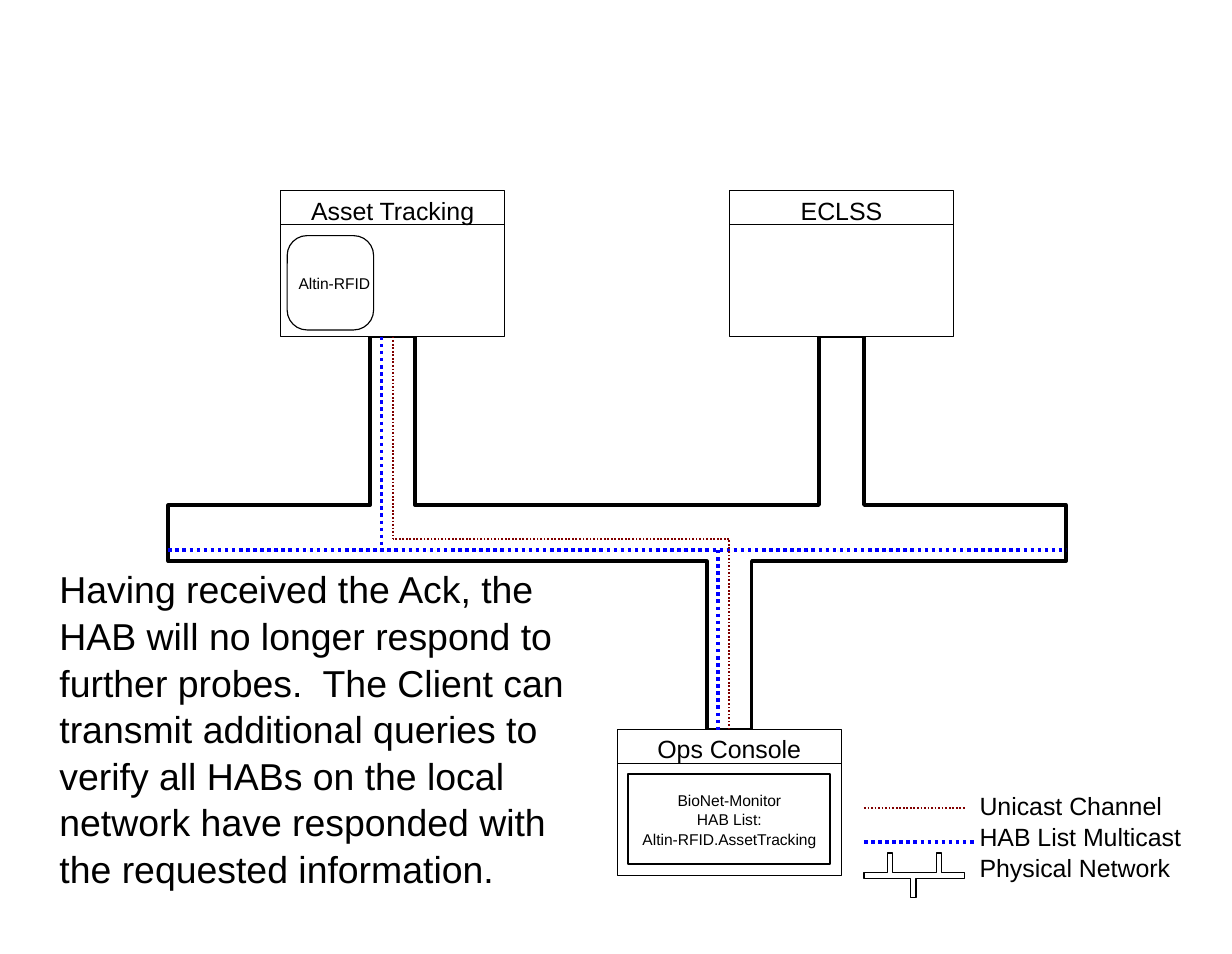
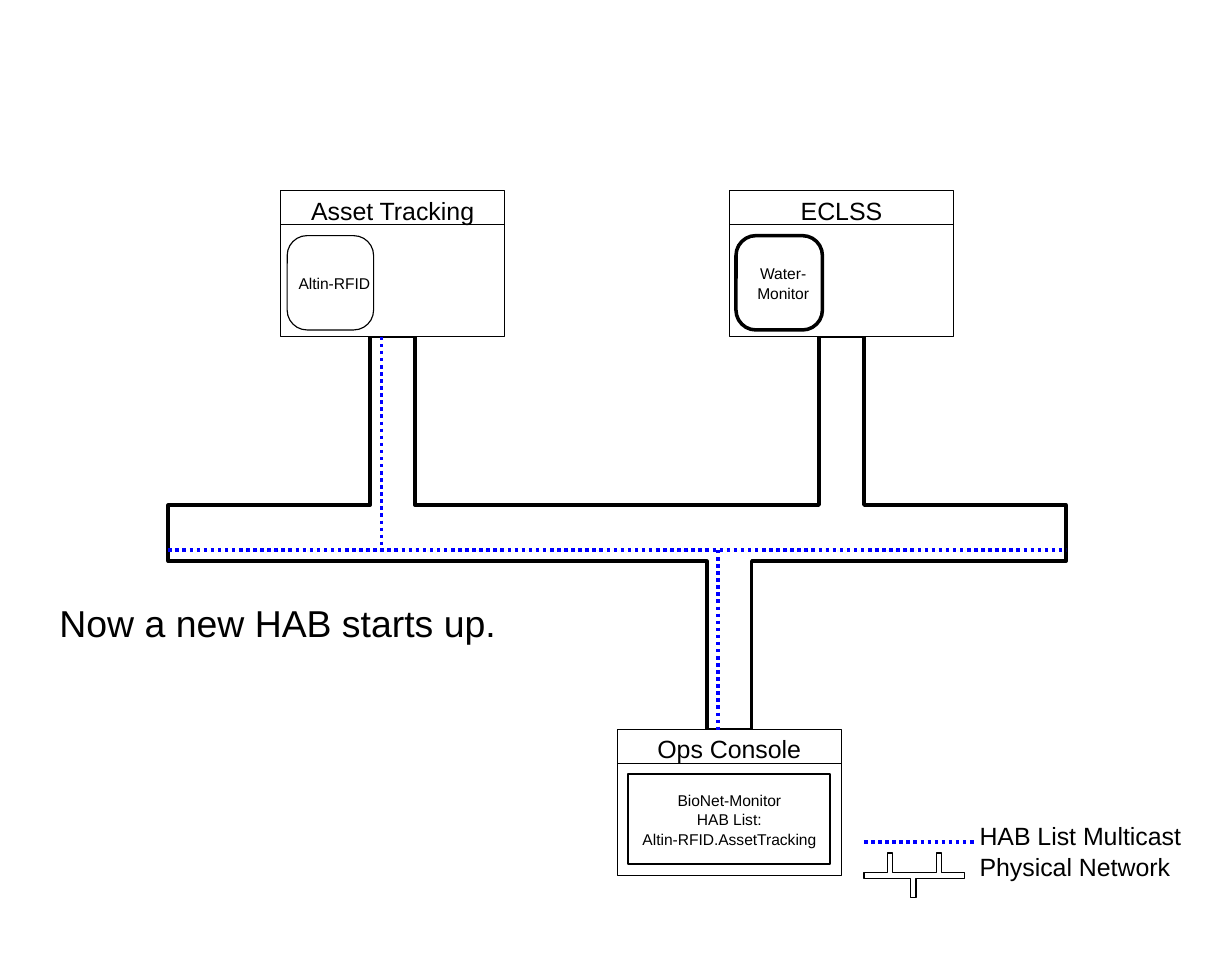
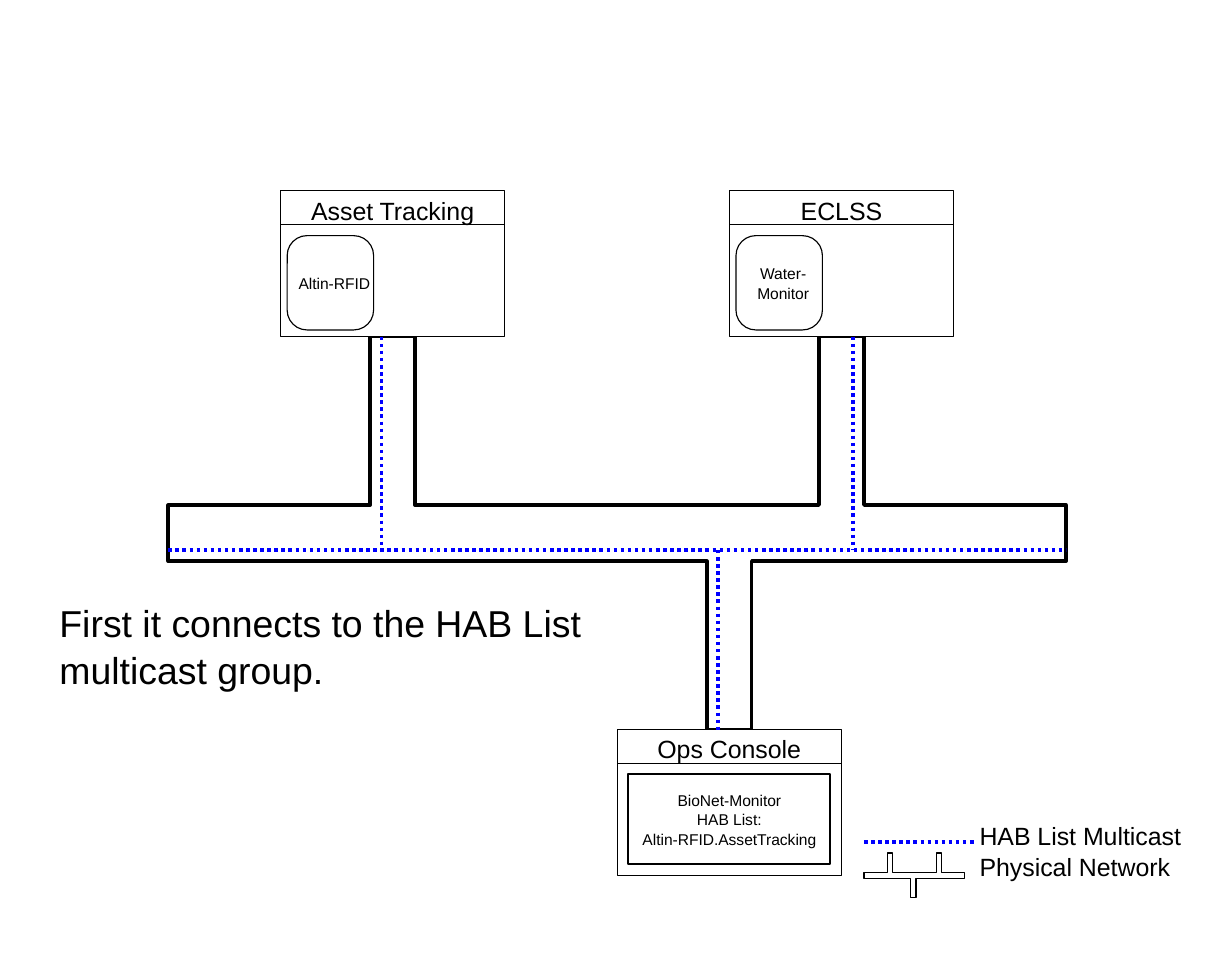
from dataclasses import dataclass
from typing import Optional

from lxml.etree import SubElement
from pptx import Presentation
from pptx.dml.color import RGBColor as RGB
from pptx.enum.dml import MSO_LINE_DASH_STYLE as Dash
from pptx.enum.shapes import MSO_CONNECTOR as Connector, MSO_SHAPE as Shape
from pptx.enum.text import MSO_ANCHOR as Anchor, PP_ALIGN as Align
from pptx.oxml.ns import qn
from pptx.util import Emu, Inches, Pt


@dataclass(frozen=True)
class Theme:
    font: str = "Arial"
    ink: RGB = RGB(0, 0, 0)
    paper: RGB = RGB(255, 255, 255)
    multicast: RGB = RGB(0, 0, 255)
    unicast: RGB = RGB(128, 0, 0)
    caption: int = 24
    label: int = 16
    small: int = 10
    thin: float = 0.75
    medium: float = 1.13
    thick: float = 2.27
    spacing: float = 1.04


@dataclass(frozen=True)
class Box:
    """A place on the grid: left, top, width and height in cells."""
    x: float
    y: float
    w: float
    h: float


@dataclass(frozen=True)
class Pen:
    color: RGB
    width: float
    dotted: bool = False


@dataclass(frozen=True)
class Step:
    caption: str
    caption_row: float
    unicast: bool = False
    water_width: Optional[float] = None
    water_joined: bool = False


T = Theme()
CELL = 0.1  # inches per grid cell
INSET = 0.3
ROW = 2.67  # height of a legend row
THIN, MEDIUM, THICK = (Pen(T.ink, w) for w in (T.thin, T.medium, T.thick))
MULTICAST = Pen(T.multicast, T.thick, True)
UNICAST = Pen(T.unicast, T.medium, True)

NETWORK = Box(15, 30, 80, 35)
ASSET, ECLSS, OPS = Box(25, 17, 20, 13), Box(65, 17, 20, 13), Box(55, 65, 20, 13)
MULTICAST_ROW, UNICAST_ROW = 49, 48
LEGEND_X, LEGEND_TEXT_X, LEGEND_Y = 77, 87, 70
HAB = "Altin-RFID"

STEPS = [
    Step("Having received the Ack, the HAB will no longer respond to further probes.  "
         "The Client can transmit additional queries to verify all HABs on the local "
         "network have responded with the requested information.", 50, unicast=True),
    Step("Now a new HAB starts up.", 53, water_width=T.thick),
    Step("First it connects to the HAB List multicast group.", 53,
         water_width=T.thin, water_joined=True),
]


def grid(cells: float) -> Emu:
    return Inches(cells * CELL)


def place(b: Box) -> tuple:
    return tuple(grid(v) for v in (b.x, b.y, b.w, b.h))


def set_pen(line, pen: Pen) -> None:
    line.color.rgb = pen.color
    line.width = Pt(pen.width)
    if pen.dotted:
        line.dash_style = Dash.ROUND_DOT


def finish(sp, pen: Pen, filled: bool = True) -> None:
    sp.shadow.inherit = False
    if filled:
        sp.fill.solid()
        sp.fill.fore_color.rgb = T.paper
    else:
        sp.fill.background()
    set_pen(sp.line, pen)


def write(sp, lines: list, size: int, align=Align.LEFT, anchor=Anchor.TOP,
          inset: float = INSET) -> None:
    tf = sp.text_frame
    tf.word_wrap = True
    tf.vertical_anchor = anchor
    tf.margin_left = tf.margin_right = tf.margin_top = tf.margin_bottom = grid(inset)
    for i, text in enumerate(lines):
        p = tf.add_paragraph() if i else tf.paragraphs[0]
        p.text = text
        p.alignment = align
        p.line_spacing = T.spacing
        p.font.name, p.font.size, p.font.color.rgb = T.font, Pt(size), T.ink


def add_text(shapes, b: Box, lines: list, size: int, **style) -> None:
    write(shapes.add_textbox(*place(b)), lines, size, **style)


def add_box(shapes, b: Box, pen: Pen, kind=Shape.RECTANGLE):
    sp = shapes.add_shape(kind, *place(b))
    finish(sp, pen)
    return sp


def add_line(shapes, x1: float, y1: float, x2: float, y2: float, pen: Pen):
    line = shapes.add_connector(Connector.STRAIGHT, *map(grid, (x1, y1, x2, y2)))
    set_pen(line.line, pen)
    SubElement(line._element.spPr, qn("a:effectLst"))
    return line


def add_outline(shapes, points: list, pen: Pen, closed: bool = True) -> None:
    first, *rest = [(grid(x), grid(y)) for x, y in points]
    builder = shapes.build_freeform(*first)
    builder.add_line_segments(rest, close=closed)
    finish(builder.convert_to_shape(), pen, filled=closed)


def add_network(shapes, b: Box, up: tuple, down: float, pen: Pen) -> None:
    """A bus with stubs up and down, centred at shares of its width."""
    bar_top, bar_bottom = (b.y + b.h * s / 7 for s in (3, 4))
    right, bottom, half = b.x + b.w, b.y + b.h, b.w * 0.025
    points = [(b.x, bar_bottom), (b.x, bar_top)]
    for share in up:
        x = b.x + b.w * share
        points += [(x - half, bar_top), (x - half, b.y), (x + half, b.y), (x + half, bar_top)]
    x = b.x + b.w * down
    points += [(right, bar_top), (right, bar_bottom), (x + half, bar_bottom),
               (x + half, bottom), (x - half, bottom), (x - half, bar_bottom)]
    add_outline(shapes, points, pen)


def add_node(shapes, b: Box, name: str):
    sp = add_box(shapes, b, THIN)
    write(sp, [name], T.label, Align.CENTER)
    add_line(shapes, b.x, b.y + 3, b.x + b.w, b.y + 3, THIN)
    return sp


def add_hab(shapes, node: Box, name: str, pen: Pen) -> None:
    group = shapes.add_group_shape().shapes
    x, y, h = node.x + 0.6, node.y + 4, 8.4
    sp = add_box(group, Box(x, y, 7.7, h), pen, Shape.ROUNDED_RECTANGLE)
    sp.adjustments[0] = 0.23
    add_text(group, Box(x, y, h, h), [name], T.small,
             align=Align.CENTER, anchor=Anchor.MIDDLE, inset=0.6)


def add_legend(shapes, unicast: bool) -> None:
    names = ["Unicast Channel", "HAB List Multicast", "Physical Network"]
    skipped = 0 if unicast else 1
    add_text(shapes, Box(LEGEND_TEXT_X, LEGEND_Y + skipped * ROW, 22.8, 10 - skipped * ROW),
             names[skipped:], T.label)
    if unicast:
        add_line(shapes, LEGEND_X, 72, LEGEND_X + 9, 72, UNICAST)
    add_line(shapes, LEGEND_X, 75, LEGEND_TEXT_X, 75, MULTICAST)
    add_network(shapes, Box(LEGEND_X, 76, 9, 4), (0.26, 0.74), 0.49, THIN)


def draw(shapes, step: Step) -> None:
    add_network(shapes, NETWORK, (0.25, 0.75), 0.625, THICK)
    add_text(shapes, Box(5, step.caption_row, 49, 13), [step.caption], T.caption)

    # Nodes and what runs on them
    asset = add_node(shapes, ASSET, "Asset Tracking")
    add_node(shapes, ECLSS, "ECLSS")
    add_node(shapes, OPS, "Ops Console")
    add_hab(shapes, ASSET, HAB, THIN)
    if step.water_width:
        add_hab(shapes, ECLSS, "Water-Monitor", Pen(T.ink, step.water_width))
    monitor = add_box(shapes, Box(OPS.x + 1, OPS.y + 4, 18, 8), MEDIUM)
    write(monitor, ["BioNet-Monitor", "HAB List:", f"{HAB}.AssetTracking"], T.small,
          Align.CENTER, Anchor.MIDDLE)

    # Multicast group
    add_line(shapes, NETWORK.x, MULTICAST_ROW, NETWORK.x + NETWORK.w, MULTICAST_ROW, MULTICAST)
    add_line(shapes, 34, NETWORK.y, 34, MULTICAST_ROW, MULTICAST)
    add_line(shapes, 64, MULTICAST_ROW, 64, OPS.y, MULTICAST)
    if step.water_joined:
        add_line(shapes, 76, NETWORK.y, 76, MULTICAST_ROW, MULTICAST)

    # Unicast channel
    if step.unicast:
        add_outline(shapes, [(65, OPS.y), (65, UNICAST_ROW), (35, UNICAST_ROW)],
                    UNICAST, closed=False)
        drop = add_line(shapes, 35, NETWORK.y, 35, UNICAST_ROW, UNICAST)
        drop.begin_connect(asset, 2)

    add_legend(shapes, step.unicast)


def main() -> None:
    prs = Presentation()
    prs.slide_width, prs.slide_height = Inches(10.98), Inches(8.5)
    blank = prs.slide_layouts[6]
    for step in STEPS:
        draw(prs.slides.add_slide(blank).shapes, step)
    prs.save("out.pptx")


if __name__ == "__main__":
    main()
